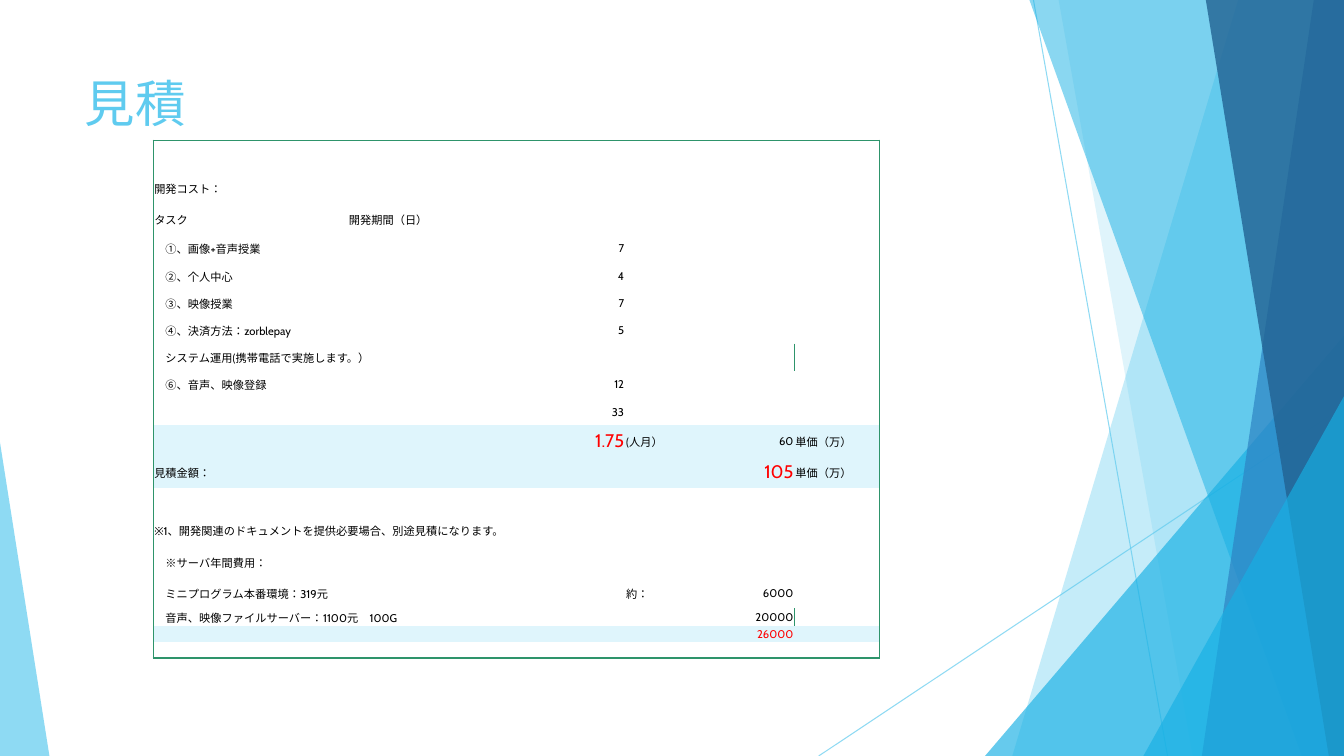
import collections
import pptx
import pptx.dml.color
import pptx.enum.lang
import pptx.enum.shapes
import pptx.enum.text
import pptx.oxml
import pptx.oxml.ns
import pptx.util
from lxml import etree

Inches = pptx.util.Inches
Pt = pptx.util.Pt
qn = pptx.oxml.ns.qn
Box = collections.namedtuple("Box", "x y w h")
Theme = collections.namedtuple(
    "Theme", "sky aqua blue navy edge band ink red latin asian head body big tiny")
THEME = Theme("5FCBEF", "17B0E4", "2E83C3", "226292", "2E946B", "DFF5FC", "000000",
              "FF0000", "Cabin", "Noto Sans CJK JP", 36, 8, 13, 6)

COLS = [1.93, 2.75, 0.84, 0.84, 0.84]
ROWS = [0.16] * 2 + [0.31] * 2 + [0.27] * 7 + [0.31] * 2 + [0.27] + [0.31] * 3 + [0.16] * 3
TEXTS = {
    2: {0: "開発コスト："},
    3: {0: "タスク", 1: "開発期間（日）"},
    4: {0: "　①、画像+音声授業", 1: "7"},
    5: {0: "　②、个人中心", 1: "4"},
    6: {0: "　③、映像授業", 1: "7"},
    7: {0: "　④、決済方法：zorblepay", 1: "5"},
    8: {0: "　システム運用(携帯電話で実施します。）"},
    9: {0: "　⑥、音声、映像登録", 1: "12"},
    10: {1: "33"},
    11: {1: "1.75", 2: "(人月）", 3: "60", 4: "単価（万）"},
    12: {0: "見積金額：", 3: "105", 4: "単価（万）"},
    14: {0: "※1、開発関連のドキュメントを提供必要場合、別途見積になります。"},
    15: {0: "　※サーバ年間費用："},
    16: {0: "　ミニプログラム本番環境：319元", 2: "約：", 3: "6000"},
    17: {0: "　音声、映像ファイルサーバー：1100元　100G", 3: "20000"},
    18: {3: "26000"},
}
SPANS = {8: 1, 14: 4, 15: 4, 17: 1}
BANDS = {11, 12, 18}
TICKS = {(8, 3), (17, 3)}
BIG = {"1.75", "105"}
RED = BIG | {"26000"}


def rgb(code):
    """Turn a hex code into a colour."""
    return pptx.dml.color.RGBColor.from_string(code)


def fade(part, alpha):
    """Give the first solid colour of a part an opacity in percent."""
    tint = next(part._element.iter(qn("a:srgbClr")))
    etree.SubElement(tint, qn("a:alpha"), val=str(alpha * 1000))


def paint(shape, color, alpha):
    """Fill a decorative shape without line or shadow."""
    shape.shadow.inherit = False
    shape.fill.solid()
    shape.fill.fore_color.rgb = rgb(color)
    shape.line.fill.background()
    fade(shape, alpha)


def write(para, text, size, color):
    """Add one run in the theme fonts."""
    run = para.add_run()
    run.text = text
    run.font.size = Pt(size)
    run.font.name = THEME.latin
    run.font.language_id = pptx.enum.lang.MSO_LANGUAGE_ID.JAPANESE
    run.font.color.rgb = rgb(color)
    etree.SubElement(run._r.get_or_add_rPr(), qn("a:ea"), typeface=THEME.asian)


def draw_ray(shapes, start, end):
    """Draw one thin translucent line."""
    ray = shapes.add_connector(pptx.enum.shapes.MSO_CONNECTOR.STRAIGHT,
                               *(Inches(n) for n in start + end))
    ray.line.color.rgb = rgb(THEME.sky)
    ray.line.width = Pt(0.75)
    fade(ray, 70)
    etree.SubElement(ray._element.spPr, qn("a:effectLst"))


def draw_pane(shapes, box, top, low, color, alpha):
    """Draw a slanted pane that reaches the right edge of the box."""
    right, base = box.x + box.w, box.y + box.h
    dots = [(right, box.y), (right, base), (box.x + low, base)]
    pen = shapes.build_freeform(Inches(box.x + top), Inches(box.y), scale=1.0)
    pen.add_line_segments([(Inches(x), Inches(y)) for x, y in dots], close=True)
    paint(pen.convert_to_shape(), color, alpha)


def draw_wedge(shapes, box, tip, color, alpha):
    """Draw a triangle with its tip at the given share of its width."""
    wedge = shapes.add_shape(pptx.enum.shapes.MSO_SHAPE.ISOSCELES_TRIANGLE,
                             *(Inches(n) for n in box))
    wedge.adjustments[0] = tip
    paint(wedge, color, alpha)


def draw_decor(slide, box):
    """Layer the rays, panes and wedges over the box."""
    shapes = slide.shapes.add_group_shape().shapes
    right, base = box.x + box.w, box.y + box.h
    draw_ray(shapes, (box.x + 10.25, box.y), (box.x + 11.58, base))
    draw_ray(shapes, (right, box.y + 4.03), (box.x + 8.12, base))
    draw_pane(shapes, box, 12.28, 10.04, THEME.sky, 36)
    draw_pane(shapes, box, 10.5, 11.83, THEME.sky, 20)
    draw_wedge(shapes, Box(right - 3.56, base - 4.17, 3.56, 4.17), 1, THEME.aqua, 66)
    draw_pane(shapes, box, 10.21, 12.91, THEME.aqua, 50)
    draw_pane(shapes, box, 13.03, 11.92, THEME.blue, 70)
    draw_pane(shapes, box, 11.96, 13.18, THEME.navy, 80)
    draw_wedge(shapes, Box(right - 1.99, base - 3.57, 1.99, 3.57), 1, THEME.aqua, 66)
    draw_wedge(shapes, Box(box.x, base - 3.11, 0.49, 3.11), 0, THEME.sky, 70)


def draw_title(slide, box):
    """Place and format the title."""
    title = slide.shapes.title
    title.left, title.top, title.width, title.height = (Inches(n) for n in box)
    frame = title.text_frame
    frame.vertical_anchor = pptx.enum.text.MSO_ANCHOR.TOP
    frame.paragraphs[0].alignment = pptx.enum.text.PP_ALIGN.LEFT
    write(frame.paragraphs[0], "見積", THEME.head, THEME.sky)


def edge_cell(cell, row, col):
    """Line the outer sides of a cell and the short inner ticks."""
    last = col + SPANS.get(row, 0) if col == 0 else col
    sides = {"lnL": col == 0,
             "lnR": last == len(COLS) - 1 or (row, col) in TICKS,
             "lnT": row == 0, "lnB": row == len(ROWS) - 1}
    for side, lined in sides.items():
        if lined:
            line = etree.SubElement(cell._tc.get_or_add_tcPr(), qn("a:" + side),
                                    w=str(Pt(1)))
            solid = etree.SubElement(line, qn("a:solidFill"))
            etree.SubElement(solid, qn("a:srgbClr"), val=THEME.edge)


def fill_cell(cell, row, col):
    """Format one cell and write its text."""
    cell.margin_left = cell.margin_right = cell.margin_top = Inches(0.01)
    cell.margin_bottom = 0
    cell.vertical_anchor = pptx.enum.text.MSO_ANCHOR.MIDDLE
    edge_cell(cell, row, col)
    if row in BANDS:
        cell.fill.solid()
        cell.fill.fore_color.rgb = rgb(THEME.band)
    else:
        cell.fill.background()
    para = cell.text_frame.paragraphs[0]
    text = TEXTS.get(row, {}).get(col)
    if text is None:
        etree.SubElement(para._p, qn("a:endParaRPr"), sz=str(THEME.tiny * 100))
        return
    if text.replace(".", "").isdigit():
        para.alignment = pptx.enum.text.PP_ALIGN.RIGHT
    write(para, text, THEME.big if text in BIG else THEME.body,
          THEME.red if text in RED else THEME.ink)


def draw_costs(slide, box):
    """Build the cost table in the box."""
    table = slide.shapes.add_table(len(ROWS), len(COLS), *(Inches(n) for n in box)).table
    table.first_row = table.horz_banding = False
    style = next(table._tbl.iter(qn("a:tableStyleId")))
    style.text = "{2D5ABB26-0587-4C30-8999-92F81FD0307C}"
    for col, width in zip(table.columns, COLS):
        col.width = Inches(width)
    for row, height in zip(table.rows, ROWS):
        row.height = Inches(height)
    for row, last in SPANS.items():
        table.cell(row, 0).merge(table.cell(row, last))
    for row in range(len(ROWS)):
        for col in range(len(COLS)):
            fill_cell(table.cell(row, col), row, col)


def main():
    """Build the estimate slide and save it."""
    deck = pptx.Presentation()
    deck.slide_width, deck.slide_height = Inches(13.33), Inches(7.5)
    slide = deck.slides.add_slide(deck.slide_layouts[5])
    draw_decor(slide, Box(0, 0, 13.33, 7.5))
    draw_title(slide, Box(0.74, 0.67, 9.4, 1.44))
    draw_costs(slide, Box(1.52, 1.39, sum(COLS), sum(ROWS)))
    deck.save("out.pptx")


if __name__ == "__main__":
    main()
